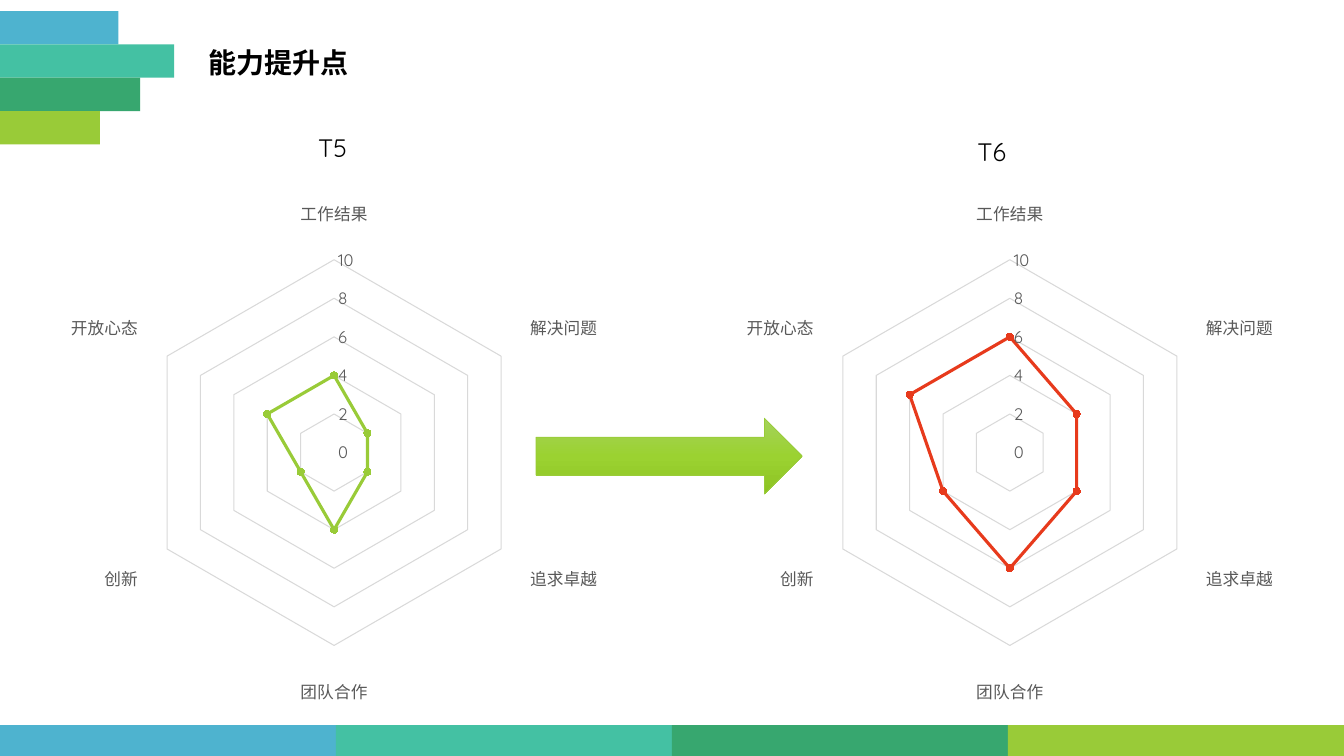
import copy

from pptx import Presentation
from pptx import util as u
from pptx.chart import data as chart_data
from pptx.dml import color
from pptx.enum import chart as ch, shapes, text
from pptx.oxml import ns, xmlchemy

COLORS = {
    "blue": "4EB3CF", "teal": "44C1A3", "green": "37A76F", "lime": "99CB38",
    "red": "E73A1C", "black": "000000", "label": "595959", "grid": "D9D9D9",
}
ARROW_STOPS = ((0, "A4D25A"), (0.5, "9BD231"), (1, "8DC323"))
BANDS = ("blue", "teal", "green", "lime")
LATIN, CJK = "Quicksand", "Noto Sans CJK SC"
SKILLS = ("工作结果", "解决问题", "追求卓越", "团队合作", "创新", "开放心态")
WIDTH, HEIGHT = 33.87, 19.05


def rgb(name):
    """Return the named colour."""
    return color.RGBColor.from_string(COLORS[name])


def apply(target, values):
    """Set each attribute in the dict on the target."""
    for name, value in values.items():
        setattr(target, name, value)


def set_font(font, size, name="black", face=LATIN, bold=False):
    """Format a font."""
    apply(font, {"size": u.Pt(size), "name": face, "bold": bold})
    font.color.rgb = rgb(name)


def box_cm(box):
    """Turn a box in centimetres into lengths."""
    return [u.Cm(value) for value in box]


def add_band(slide, box, name):
    """Draw one plain colour band."""
    band = slide.shapes.add_shape(shapes.MSO_SHAPE.RECTANGLE, *box_cm(box))
    band.shadow.inherit = False
    band.fill.solid()
    band.fill.fore_color.rgb = rgb(name)
    band.line.fill.background()


def add_corner(slide, box):
    """Stack bands of differing length at the corner."""
    left, top, width, height = box
    step = height / len(BANDS)
    for row, (name, share) in enumerate(zip(BANDS, (0.68, 1, 0.805, 0.573))):
        add_band(slide, (left, top + row * step, width * share, step), name)


def add_footer(slide, box):
    """Lay equal bands side by side along the bottom."""
    left, top, width, height = box
    step = width / len(BANDS)
    for column, name in enumerate(BANDS):
        add_band(slide, (left + column * step, top, step, height), name)


def add_heading(slide, box, wording):
    """Place and format the title placeholder."""
    heading = slide.shapes.title
    apply(heading, dict(zip(("left", "top", "width", "height"), box_cm(box))))
    frame = heading.text_frame
    apply(frame, {"vertical_anchor": text.MSO_ANCHOR.MIDDLE, "word_wrap": True,
                  "auto_size": text.MSO_AUTO_SIZE.NONE})
    line = frame.paragraphs[0]
    apply(line, {"alignment": text.PP_ALIGN.LEFT, "line_spacing": 0.9,
                 "space_before": u.Pt(10)})
    run = line.add_run()
    run.text = wording
    set_font(run.font, 20, face=CJK, bold=True)
    east_asian = xmlchemy.OxmlElement("a:ea")
    east_asian.set("typeface", CJK)
    run.font._element.append(east_asian)


def add_level(slide, box, wording):
    """Write the level name above a radar."""
    frame = slide.shapes.add_textbox(*box_cm(box)).text_frame
    frame.word_wrap = True
    run = frame.paragraphs[0].add_run()
    run.text = wording
    set_font(run.font, 18)


def add_radar(slide, box, scores, name):
    """Chart the scores of one level as a radar."""
    data = chart_data.CategoryChartData()
    data.categories = SKILLS
    data.add_series("Series 1", scores)
    radar = slide.shapes.add_chart(
        ch.XL_CHART_TYPE.RADAR_MARKERS, *box_cm(box), data).chart
    apply(radar, {"has_legend": False, "has_title": False})
    set_font(radar.font, 10)
    radar.plots[0].vary_by_categories = False

    skills, scale = radar.category_axis, radar.value_axis
    for axis in (skills, scale):
        apply(axis, {"major_tick_mark": ch.XL_TICK_MARK.NONE,
                     "minor_tick_mark": ch.XL_TICK_MARK.NONE})
        set_font(axis.tick_labels.font, 11.9, "label")
    skills.has_major_gridlines = False
    apply(scale, {"minimum_scale": 0, "maximum_scale": 10, "major_unit": 2,
                  "has_major_gridlines": True})
    scale.format.line.fill.background()

    series = radar.plots[0].series[0]
    series.smooth = False
    for line, shade, width in ((skills.format.line, "grid", 0.75),
                               (scale.major_gridlines.format.line, "grid", 0.75),
                               (series.format.line, name, 2.25)):
        line.color.rgb = rgb(shade)
        line.width = u.Pt(width)
    marker = series.marker
    apply(marker, {"style": ch.XL_MARKER_STYLE.CIRCLE, "size": 5})
    marker.format.fill.solid()
    marker.format.fill.fore_color.rgb = rgb(name)
    marker.format.line.fill.background()


def add_progress_arrow(slide, box):
    """Draw the gradient arrow between the levels."""
    arrow = slide.shapes.add_shape(shapes.MSO_SHAPE.RIGHT_ARROW, *box_cm(box))
    arrow.shadow.inherit = False
    arrow.fill.gradient()
    arrow.fill.gradient_angle = 270
    stop_list = arrow._element.spPr.find(ns.qn("a:gradFill")).find(ns.qn("a:gsLst"))
    stop_list.append(copy.deepcopy(stop_list[-1]))
    for stop, (position, shade) in zip(arrow.fill.gradient_stops, ARROW_STOPS):
        stop.position = position
        stop.color.rgb = color.RGBColor.from_string(shade)
    arrow.line.color.rgb = rgb("lime")
    arrow.line.width = u.Pt(0.5)


def build_slide(deck):
    """Compose the slide that compares two levels."""
    slide = deck.slides.add_slide(deck.slide_layouts[5])
    add_corner(slide, (0, 0.28, 4.39, 3.36))
    add_footer(slide, (0, 18.27, WIDTH, 0.84))
    add_heading(slide, (5, 0.89, 12.4, 1.47), "能力提升点")
    radar_width = 16.84
    for left, scores, name in ((0, (4, 2, 2, 4, 2, 4), "lime"),
                               (WIDTH - radar_width, (6, 4, 4, 6, 4, 6), "red")):
        add_radar(slide, (left, 4.8, radar_width, 13.21), scores, name)
    add_progress_arrow(slide, (13.51, 10.54, 6.71, 1.91))
    add_level(slide, (7.77, 3.2, 4.29, 1.02), "T5")
    add_level(slide, (24.38, 3.3, 3.51, 1.8), "T6")


deck = Presentation()
apply(deck, {"slide_width": u.Cm(WIDTH), "slide_height": u.Cm(HEIGHT)})
build_slide(deck)
deck.save("out.pptx")
